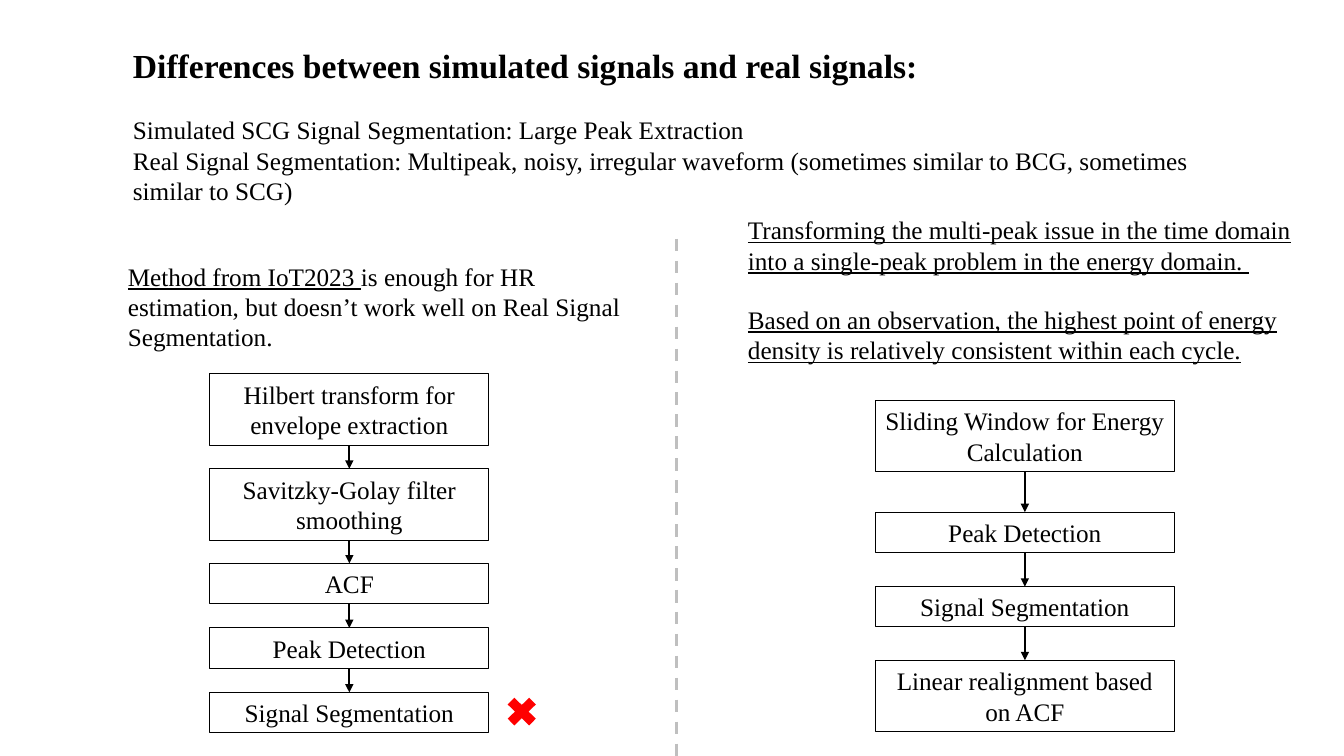
import pptx
import pptx.util
import pptx.dml.color
import pptx.enum.dml
import pptx.enum.shapes
import pptx.enum.text
import pptx.oxml
import pptx.oxml.ns

PX = 9144
FONT = "Times New Roman"
BODY = {"name": FONT, "size": pptx.util.Pt(18)}
HEADING = {"name": FONT, "size": pptx.util.Pt(24), "bold": True}
UNDERLINED = {**BODY, "underline": True}
BLANK_LINE = pptx.util.Pt(20.7)
STEP_FRAME = {
    "word_wrap": True,
    "vertical_anchor": pptx.enum.text.MSO_ANCHOR.MIDDLE,
    "auto_size": pptx.enum.text.MSO_AUTO_SIZE.SHAPE_TO_FIT_TEXT,
}
TEXT_FRAME = {**STEP_FRAME, "vertical_anchor": pptx.enum.text.MSO_ANCHOR.TOP}


def px(*lengths):
    return [length * PX for length in lengths]


def color(hex_string):
    return pptx.dml.color.RGBColor.from_string(hex_string)


def apply(target, values):
    for key, value in values.items():
        setattr(target, key, value)


def write(frame, frame_format, paragraphs, align):
    apply(frame, frame_format)
    for index, (space, runs) in enumerate(paragraphs):
        paragraph = frame.add_paragraph() if index else frame.paragraphs[0]
        apply(paragraph, {"alignment": align, "space_before": space})
        for words, font_format in runs:
            run = paragraph.add_run()
            run.text = words
            apply(run.font, font_format)
            run.font.color.rgb = color("000000")


def add_passage(slide, box, paragraphs):
    passage = slide.shapes.add_textbox(*px(*box))
    write(passage.text_frame, TEXT_FRAME, paragraphs, pptx.enum.text.PP_ALIGN.LEFT)


def add_line(slide, ends, hex_string, width):
    line = slide.shapes.add_connector(
        pptx.enum.shapes.MSO_CONNECTOR.STRAIGHT, *px(*ends)
    )
    line.line.color.rgb = color(hex_string)
    line.line.width = pptx.util.Pt(width)
    line._element.spPr.append(pptx.oxml.parse_xml(
        f'<a:effectLst {pptx.oxml.ns.nsdecls("a")}/>'
    ))
    return line


def add_arrow(slide, upper, lower):
    arrow = add_line(slide, (0, 0, 0, 0), "000000", 1.5)
    arrow.begin_connect(upper, 2)
    arrow.end_connect(lower, 0)
    arrow.line._get_or_add_ln().append(pptx.oxml.parse_xml(
        f'<a:tailEnd {pptx.oxml.ns.nsdecls("a")} type="triangle"/>'
    ))


def add_step(slide, box, words):
    step = slide.shapes.add_shape(
        pptx.enum.shapes.MSO_SHAPE.RECTANGLE, *px(*box)
    )
    step.shadow.inherit = False
    step.fill.background()
    step.line.color.rgb = color("000000")
    step.line.width = pptx.util.Pt(0.75)
    write(step.text_frame, STEP_FRAME, [(0, [(words, BODY)])],
          pptx.enum.text.PP_ALIGN.CENTER)
    return step


def add_flow(slide, left, top, width, steps):
    previous = None
    for gap, height, words in steps:
        top += gap
        step = add_step(slide, (left, top, width, height), words)
        if previous is not None:
            add_arrow(slide, previous, step)
        previous = step
        top += height


def add_introduction(slide, box):
    add_passage(slide, box, [
        (0, [("Differences between simulated signals and real signals:", HEADING)]),
        (BLANK_LINE, [("Simulated SCG Signal Segmentation: Large Peak Extraction", BODY)]),
        (0, [("Real Signal Segmentation: Multipeak, noisy, irregular waveform "
              "(sometimes similar to BCG, sometimes similar to SCG)", BODY)]),
    ])


def add_simulated_method(slide, left, top):
    add_passage(slide, (left, top, 540, 101), [(0, [
        ("Method from IoT2023 ", UNDERLINED),
        ("is enough for HR estimation, but doesn’t work well on "
         "Real Signal Segmentation.", BODY),
    ])])
    add_flow(slide, left + 91, top + 117, 277, [
        (0, 71, "Hilbert transform for envelope extraction"),
        (23, 71, "Savitzky-Golay filter smoothing"),
        (23, 40, "ACF"),
        (24, 40, "Peak Detection"),
        (24, 40, "Signal Segmentation"),
    ])
    cross = slide.shapes.add_shape(
        pptx.enum.shapes.MSO_SHAPE.MATH_MULTIPLY, *px(left + 380, top + 432, 41, 40)
    )
    cross.shadow.inherit = False
    cross.fill.solid()
    cross.fill.fore_color.rgb = color("FF0000")
    cross.line.fill.background()


def add_real_method(slide, left, top):
    add_passage(slide, (left, top, 570, 162), [
        (0, [("Transforming the multi-peak issue in the time domain into a "
              "single-peak problem in the energy domain. ", UNDERLINED)]),
        (BLANK_LINE, [("Based on an observation, the highest point of energy density "
                       "is relatively consistent within each cycle.", UNDERLINED)]),
    ])
    add_flow(slide, left + 136, top + 189, 297, [
        (0, 71, "Sliding Window for Energy Calculation"),
        (40, 40, "Peak Detection"),
        (34, 40, "Signal Segmentation"),
        (33, 71, "Linear realignment based on ACF"),
    ])


def add_divider(slide, x, top, bottom):
    divider = add_line(slide, (x, top, x, bottom), "BFBFBF", 2.25)
    divider.line.dash_style = pptx.enum.dml.MSO_LINE.DASH


def main():
    deck = pptx.Presentation()
    deck.slide_width, deck.slide_height = px(1333, 750)
    slide = deck.slides.add_slide(deck.slide_layouts[6])
    add_introduction(slide, (122, 40, 1105, 202))
    add_simulated_method(slide, 117, 254)
    add_real_method(slide, 732, 208)
    add_divider(slide, 671, 237, 750)
    deck.save("out.pptx")


if __name__ == "__main__":
    main()
